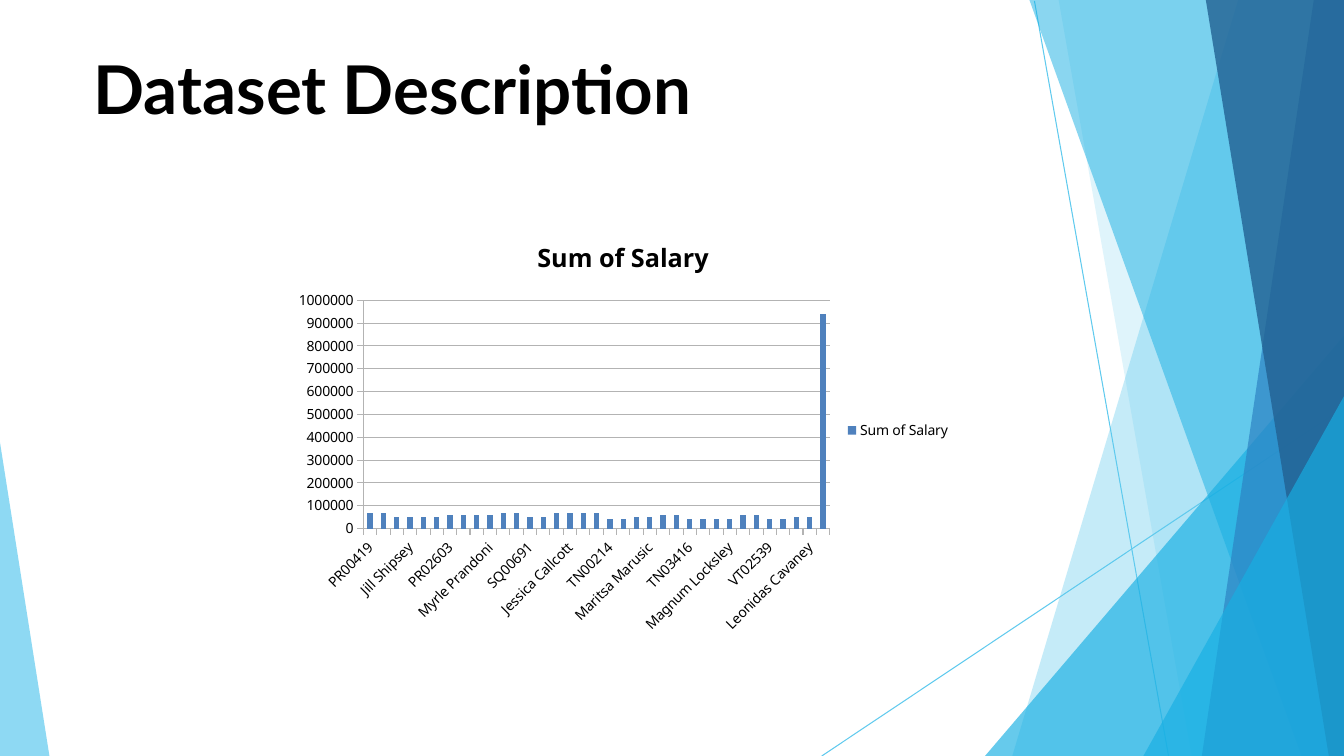
from dataclasses import dataclass

from lxml import etree
from pptx import Presentation
from pptx.chart.data import CategoryChartData
from pptx.dml.color import RGBColor
from pptx.enum.chart import XL_CHART_TYPE as ChartType
from pptx.enum.chart import XL_LEGEND_POSITION as LegendPosition
from pptx.enum.chart import XL_TICK_MARK as TickMark
from pptx.enum.shapes import MSO_CONNECTOR as Connector
from pptx.enum.text import MSO_ANCHOR as Anchor
from pptx.oxml.ns import qn
from pptx.util import Inches, Pt

# Content
TITLE = "Dataset Description"
SERIES = "Sum of Salary"
EMPLOYEES = [  # identifier, name, salary shown under both
    ("PR00419", "Billi Fellgate", 70000),
    ("PR00882", "Jill Shipsey", 50000),
    ("PR00893", "Daisie McNeice", 50000),
    ("PR02603", "Daisie Dahlman", 60000),
    ("PR03445", "Myrle Prandoni", 60000),
    ("PR04473", "Wyn Treadger", 70000),
    ("SQ00691", "Verla Timmis", 50000),
    ("SQ01854", "Jessica Callcott", 70000),
    ("SQ04598", "Pearla Beteriss", 70000),
    ("TN00214", "Jo-anne Gobeau", 40000),
    ("TN00464", "Maritsa Marusic", 50000),
    ("TN02749", "Mackenzie Hannis", 60000),
    ("TN03416", "Seward Kubera", 40000),
    ("VT00578", "Magnum Locksley", 40000),
    ("VT02417", "Evangelina Lergan", 60000),
    ("VT02539", "Devinne Tuny", 40000),
    ("VT03849", "Leonidas Cavaney", 50000),
]
GRAND_TOTAL = ("Grand Total", 940000)


@dataclass(frozen=True)
class Theme:
    sky: str = "5FCAEE"
    cyan: str = "17AFE3"
    blue: str = "2D83C3"
    navy: str = "226192"
    bar: str = "4F81BD"
    grid: str = "B3B3B3"
    ink: str = "000000"
    title_font: str = "Lato"
    chart_font: str = "Noto Sans"
    title_size: int = 48
    chart_title_size: int = 18
    label_size: int = 10
    hairline: float = 0.75


theme = Theme()
WIDTH, HEIGHT = 13.33, 7.5

# Decoration: start and end of each thin line
RAYS = [((10.26, 0.01), (11.59, HEIGHT)), ((WIDTH, 4.04), (8.15, HEIGHT))]
# Bands on the right edge: top x, top y, bottom x, colour, opacity in percent
BANDS = [
    (12.28, 0, 10.04, theme.sky, 36),
    (10.5, 0, 11.82, theme.sky, 20),
    (WIDTH, 3.33, 9.77, theme.cyan, 66),
    (10.21, 0, 12.91, theme.cyan, 50),
    (13.03, 0, 11.92, theme.blue, 70),
    (11.96, 0, 13.18, theme.navy, 80),
    (WIDTH, 3.93, 11.34, theme.cyan, 66),
]
LEFT_WEDGE = [(0, 4.39), (0, HEIGHT), (0.49, HEIGHT)]


def set_font(font, name, size, bold=False, color=theme.ink):
    font.name = name
    font.size = Pt(size)
    font.bold = bold
    font.color.rgb = RGBColor.from_string(color)


def set_line(line, color):
    line.color.rgb = RGBColor.from_string(color)
    line.width = Pt(theme.hairline)


def add_text(page, text, left, top, width, height, **style):
    box = page.shapes.add_textbox(*map(Inches, (left, top, width, height)))
    frame = box.text_frame
    frame.word_wrap = True
    frame.vertical_anchor = Anchor.TOP
    span = frame.paragraphs[0].add_run()
    span.text = text
    set_font(span.font, **style)


def add_ray(page, start, end):
    ray = page.shapes.add_connector(Connector.STRAIGHT, *map(Inches, start + end))
    set_line(ray.line, theme.sky)
    etree.SubElement(ray._element.spPr, qn("a:effectLst"))


def add_polygon(page, points, color, opacity):
    corners = [(Inches(x), Inches(y)) for x, y in points]
    builder = page.shapes.build_freeform(*corners[0])
    builder.add_line_segments(corners[1:], close=True)
    polygon = builder.convert_to_shape()
    polygon.shadow.inherit = False
    polygon.line.fill.background()
    polygon.fill.solid()
    polygon.fill.fore_color.rgb = RGBColor.from_string(color)
    tint = polygon._element.spPr.find(qn("a:solidFill"))[0]
    etree.SubElement(tint, qn("a:alpha")).set("val", str(opacity * 1000))


def add_salary_chart(page, left, top, width, height):
    data = CategoryChartData()
    for identifier, name, salary in EMPLOYEES:
        data.add_category(identifier)
        data.add_category(name)
    data.add_category(GRAND_TOTAL[0])
    salaries = [salary for *labels, salary in EMPLOYEES for label in labels]
    data.add_series(SERIES, salaries + [GRAND_TOTAL[1]])
    place = map(Inches, (left, top, width, height))
    chart = page.shapes.add_chart(ChartType.COLUMN_CLUSTERED, *place, data).chart
    set_font(chart.font, theme.chart_font, theme.label_size)

    # Title and legend
    chart.has_title = True
    para = chart.chart_title.text_frame.paragraphs[0]
    span = para.add_run()
    span.text = SERIES
    set_font(span.font, theme.chart_font, theme.chart_title_size, bold=True)
    chart.has_legend = True
    chart.legend.position = LegendPosition.RIGHT
    chart.legend.include_in_layout = False
    set_font(chart.legend.font, theme.chart_font, theme.label_size)

    # Axes and bars
    for axis in (chart.category_axis, chart.value_axis):
        axis.major_tick_mark = TickMark.OUTSIDE
        set_font(axis.tick_labels.font, theme.chart_font, theme.label_size)
        set_line(axis.format.line, theme.grid)
    set_line(chart.value_axis.major_gridlines.format.line, theme.grid)
    plot = chart.plots[0]
    plot.vary_by_categories = False
    plot.gap_width = 150
    bars = plot.series[0].format.fill
    bars.solid()
    bars.fore_color.rgb = RGBColor.from_string(theme.bar)


def main():
    deck = Presentation()
    deck.slide_width, deck.slide_height = Inches(WIDTH), Inches(HEIGHT)
    page = deck.slides.add_slide(deck.slide_layouts[6])

    # Background decoration
    for start, end in RAYS:
        add_ray(page, start, end)
    for top_x, top_y, bottom_x, color, opacity in BANDS:
        points = [(WIDTH, top_y), (top_x, top_y), (bottom_x, HEIGHT), (WIDTH, HEIGHT)]
        if top_x == WIDTH:
            points = points[1:]
        add_polygon(page, points, color, opacity)
    add_polygon(page, LEFT_WEDGE, theme.sky, 70)

    # Title and chart
    add_text(page, TITLE, 0.83, 0.42, 11.68, 0.83,
             name=theme.title_font, size=theme.title_size, bold=True)
    add_salary_chart(page, 2.83, 2.17, 6.7, 4.2)
    deck.save("out.pptx")


if __name__ == "__main__":
    main()
